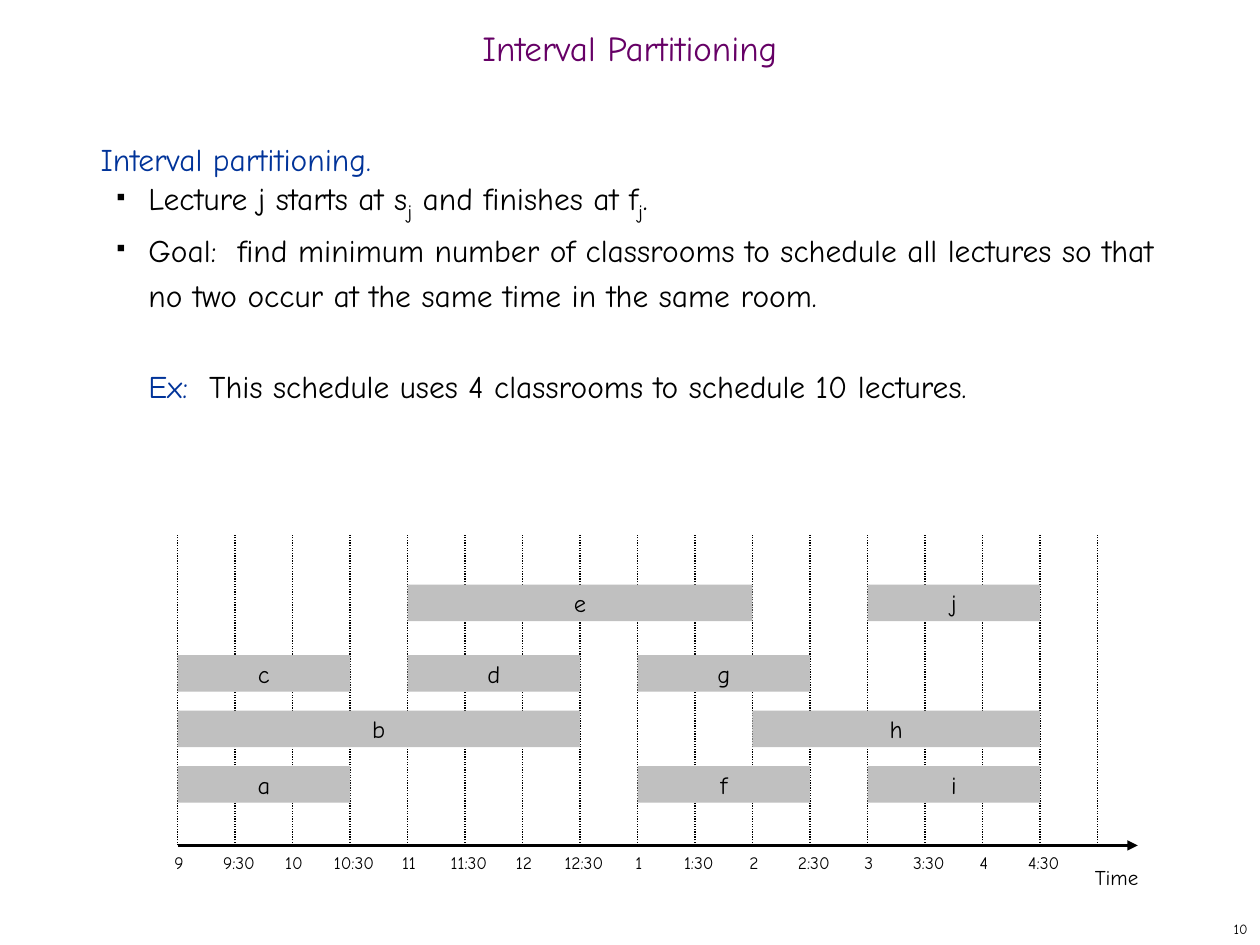
from lxml import etree
from pptx import Presentation
from pptx import util as u
from pptx.dml.color import RGBColor
from pptx.enum import dml, shapes, text
from pptx.oxml.ns import qn

FONT = "Comic Neue"
BLACK, BLUE, PURPLE, GREY = "000000", "003399", "660066", "C0C0C0"
WIDE, HIGH = 10, 7.5

TITLE = "Interval Partitioning"
# Each paragraph: kind, then runs of (text, colour, is subscript)
BODY = [
    ("head", [("Interval partitioning.", BLUE, False)]),
    ("item", [("Lecture j starts at s", BLACK, False), ("j", BLACK, True),
              (" and finishes at f", BLACK, False), ("j", BLACK, True),
              (".", BLACK, False)]),
    ("item", [("Goal:  find minimum number of classrooms to schedule all "
               "lectures so that no two occur at the same time in the same "
               "room.", BLACK, False)]),
    ("note", [("Ex:  ", BLUE, False),
              ("This schedule uses 4 classrooms to schedule 10 lectures.",
               BLACK, False)]),
]
TIMES = ["9", "9:30", "10", "10:30", "11", "11:30", "12", "12:30",
         "1", "1:30", "2", "2:30", "3", "3:30", "4", "4:30"]
# Each classroom: top of its row, then lectures as (name, start, end) in slots
ROOMS = [
    (4.64, [("e", 4, 10), ("j", 12, 15)]),
    (5.2, [("c", 0, 3), ("d", 4, 7), ("g", 8, 11)]),
    (5.64, [("b", 0, 7), ("h", 10, 15)]),
    (6.08, [("a", 0, 3), ("f", 8, 11), ("i", 12, 15)]),
]
LEFT, RIGHT = 1.41, 8.71
STEP = (RIGHT - LEFT) / len(TIMES)
TOP, AXIS, END = 4.24, 6.71, 9.03
BAR = 0.29

deck = Presentation()
deck.slide_width, deck.slide_height = u.Inches(WIDE), u.Inches(HIGH)
slide = deck.slides.add_slide(deck.slide_layouts[6])


def rgb(code):
    return RGBColor.from_string(code)


def slot(n):
    """Give the x position of the n-th half hour."""
    return LEFT + n * STEP


def add_run(para, words, size, color=BLACK):
    run = para.add_run()
    run.text = words
    run.font.name, run.font.size = FONT, u.Pt(size)
    run.font.color.rgb = rgb(color)
    return run


def add_box(x, y, w, h, anchor=text.MSO_ANCHOR.TOP):
    """Add a text box and return its text frame."""
    frame = slide.shapes.add_textbox(*map(u.Inches, (x, y, w, h))).text_frame
    frame.word_wrap, frame.vertical_anchor = True, anchor
    return frame


def add_label(box, words, size, color=BLACK, align=text.PP_ALIGN.LEFT):
    para = box.paragraphs[0]
    para.alignment = align
    add_run(para, words, size, color)
    return para


def add_line(x1, y1, x2, y2, width):
    line = slide.shapes.add_connector(
        shapes.MSO_CONNECTOR.STRAIGHT, *map(u.Inches, (x1, y1, x2, y2)))
    line.line.color.rgb, line.line.width = rgb(BLACK), u.Pt(width)
    etree.SubElement(line._element.spPr, qn("a:effectLst"))
    return line.line


def add_bullet(para):
    props = para._p.get_or_add_pPr()
    color = etree.SubElement(props, qn("a:buClr"))
    etree.SubElement(color, qn("a:srgbClr"), val=BLACK)
    etree.SubElement(props, qn("a:buSzPct"), val="35000")
    etree.SubElement(props, qn("a:buChar"), char="■")


def indent(para, left, first):
    props = para._p.get_or_add_pPr()
    props.set("marL", str(u.Inches(left)))
    props.set("indent", str(u.Inches(first)))


def add_body():
    frame = add_box(0.7, 1, 8.58, 2.6)
    for n, (kind, runs) in enumerate(BODY):
        para = frame.add_paragraph() if n else frame.paragraphs[0]
        para.line_spacing = u.Pt(26)
        if kind == "note":
            para.space_before = u.Pt(26)
        if kind != "head":
            indent(para, 0.38, -0.25 if kind == "item" else 0)
        if kind == "item":
            add_bullet(para)
        for words, color, sub in runs:
            run = add_run(para, words, 20 if sub else 18, color)
            if sub:
                run.font._element.set("baseline", "-25000")


def add_axis():
    for n in range(len(TIMES) + 1):
        grid = add_line(slot(n), AXIS, slot(n), TOP, 0.75)
        grid.dash_style = dml.MSO_LINE.ROUND_DOT
    axis = add_line(LEFT, AXIS, END, AXIS, 1.25)
    etree.SubElement(axis._get_or_add_ln(), qn("a:tailEnd"), type="triangle")
    for n, time in enumerate(TIMES):
        shift = 0.03 if ":" in time else 0.01
        box = add_box(slot(n - 0.5) + shift, AXIS, STEP, 0.27)
        box.margin_left = box.margin_right = 0
        add_label(box, time, 10, align=text.PP_ALIGN.CENTER)
    add_label(add_box(8.59, 6.81, 0.72, 0.3), "Time", 12)


def add_bars():
    for top, items in ROOMS:
        for name, start, end in items:
            bar = slide.shapes.add_shape(
                shapes.MSO_SHAPE.RECTANGLE, u.Inches(slot(start)),
                u.Inches(top), u.Inches((end - start) * STEP), u.Inches(BAR))
            bar.shadow.inherit = False
            bar.fill.solid()
            bar.fill.fore_color.rgb = rgb(GREY)
            bar.line.fill.background()
            frame = bar.text_frame
            frame.word_wrap = False
            frame.vertical_anchor = MIDDLE
            add_label(frame, name, 14, align=text.PP_ALIGN.CENTER)


MIDDLE = text.MSO_ANCHOR.MIDDLE
head = add_box(0, 0.17, WIDE, 0.5, MIDDLE)
add_label(head, TITLE, 20, PURPLE, text.PP_ALIGN.CENTER).line_spacing = 0.7
add_body()
add_axis()
add_bars()
page = add_box(7.92, HIGH - 0.25, 2.08, 0.25, MIDDLE)
add_label(page, "10", 8, align=text.PP_ALIGN.RIGHT)
deck.save("out.pptx")
